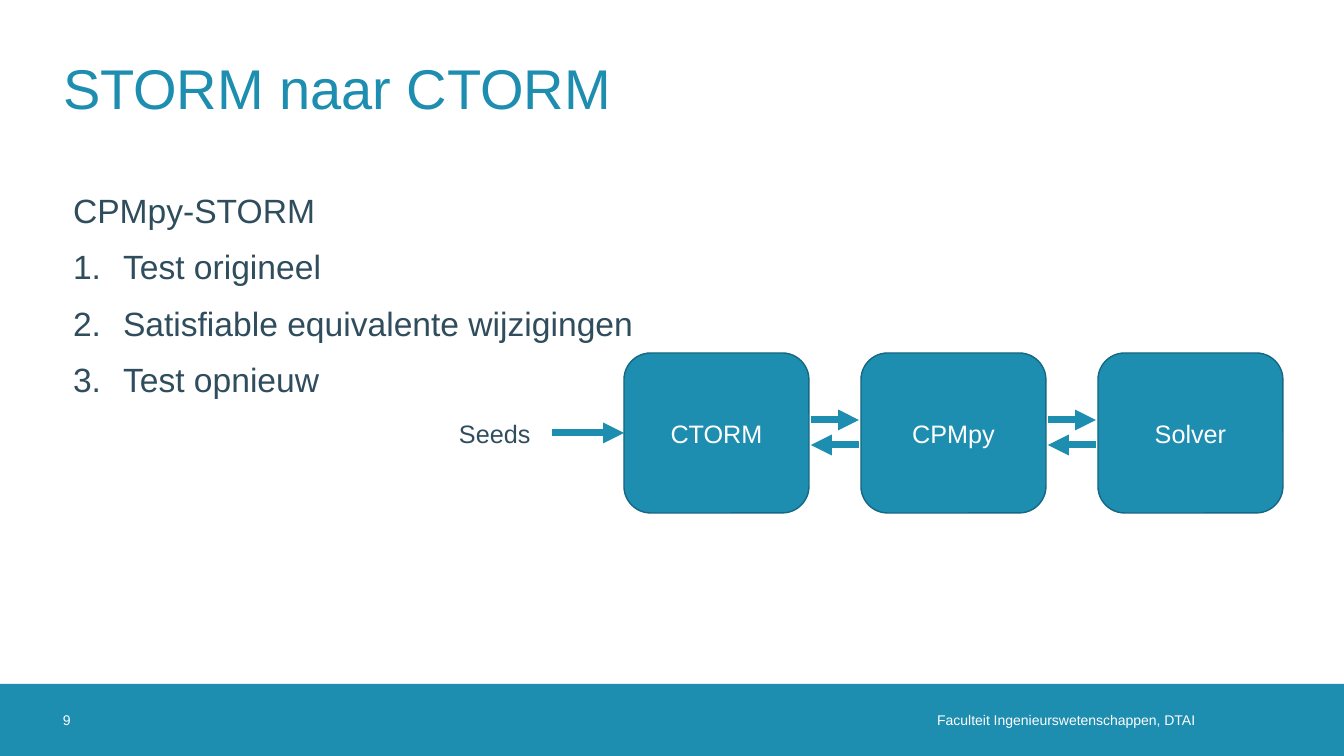
import dataclasses

import lxml.etree
import pptx
import pptx.dml.color
import pptx.enum.shapes
import pptx.enum.text
import pptx.oxml.ns
import pptx.util

EMU_PER_PX = 914400 / 100.8
FONT = "Arial"
TEAL = "1D8DB0"
DARK_TEAL = "156882"
SLATE = "2F4D5D"
WHITE = "FFFFFF"
ALIGN = pptx.enum.text.PP_ALIGN
ANCHOR = pptx.enum.text.MSO_ANCHOR
SHAPE = pptx.enum.shapes.MSO_SHAPE

BOX_LEFT, BOX_TOP, BOX_WIDTH, BOX_HEIGHT, BOX_STEP = 624, 353, 185, 160, 237
ARROW_GAP, ARROW_LENGTH = 2, 48
FORWARD_Y, BACK_Y = 420, 445


@dataclasses.dataclass(frozen=True)
class Area:
    left: int
    top: int
    width: int
    height: int

    def emu(self) -> tuple:
        return tuple(px(n) for n in dataclasses.astuple(self))


@dataclasses.dataclass(frozen=True)
class Label:
    text: str
    area: Area
    size: int
    color: str
    align: ALIGN = ALIGN.LEFT
    anchor: ANCHOR = ANCHOR.MIDDLE
    insets: tuple = (0, 0, 0, 0)


@dataclasses.dataclass(frozen=True)
class Arrow:
    start: int
    end: int
    y: int


FOOTER = Area(0, 684, 1344, 72)
LABELS = [
    Label("Faculteit Ingenieurswetenschappen, DTAI", Area(665, 684, 550, 72),
          10, WHITE, ALIGN.RIGHT, insets=(0, 0, 20, 0)),
    Label("9", Area(63, 684, 72, 72), 10, WHITE),
    Label("Seeds", Area(449, 413, 104, 40), 18, SLATE,
          anchor=ANCHOR.TOP, insets=(10, 5, 10, 5)),
]
STEPS = ["Test origineel", "Satisfiable equivalente wijzigingen", "Test opnieuw"]
TOOLS = ["CTORM", "CPMpy", "Solver"]


def px(n: int) -> int:
    return round(n * EMU_PER_PX)


def rgb(color: str) -> pptx.dml.color.RGBColor:
    return pptx.dml.color.RGBColor.from_string(color)


def add_run(p, text: str, size: int, color: str) -> None:
    r = p.add_run()
    r.text = text
    r.font.name = FONT
    r.font.size = pptx.util.Pt(size)
    r.font.color.rgb = rgb(color)


def set_frame(tf, anchor: ANCHOR, insets: tuple) -> None:
    tf.word_wrap = True
    tf.auto_size = pptx.enum.text.MSO_AUTO_SIZE.NONE
    tf.vertical_anchor = anchor
    tf.margin_left, tf.margin_top, tf.margin_right, tf.margin_bottom = map(px, insets)


def write_label(sp, label: Label) -> None:
    set_frame(sp.text_frame, label.anchor, label.insets)
    p = sp.text_frame.paragraphs[0]
    p.alignment = label.align
    add_run(p, label.text, label.size, label.color)


def place(sp, area: Area) -> None:
    sp.left, sp.top, sp.width, sp.height = area.emu()


def add_shape(s, kind: SHAPE, area: Area):
    sp = s.shapes.add_shape(kind, *area.emu())
    sp.shadow.inherit = False
    sp.fill.solid()
    sp.fill.fore_color.rgb = rgb(TEAL)
    sp.line.fill.background()
    return sp


def add_box(s, text: str, left: int) -> None:
    area = Area(left, BOX_TOP, BOX_WIDTH, BOX_HEIGHT)
    sp = add_shape(s, SHAPE.ROUNDED_RECTANGLE, area)
    sp.line.color.rgb = rgb(DARK_TEAL)
    sp.line.width = pptx.util.Pt(1)
    write_label(sp, Label(text, area, 18, WHITE, ALIGN.CENTER, insets=(10, 5, 10, 5)))


def add_arrow(s, arrow: Arrow) -> None:
    line = s.shapes.add_connector(
        pptx.enum.shapes.MSO_CONNECTOR.STRAIGHT,
        px(arrow.start), px(arrow.y), px(arrow.end), px(arrow.y))
    line.line.color.rgb = rgb(TEAL)
    line.line.width = pptx.util.Pt(5)
    qn = pptx.oxml.ns.qn
    ln = line.line._get_or_add_ln()
    lxml.etree.SubElement(ln, qn("a:tailEnd"), type="triangle")
    lxml.etree.SubElement(line._element.spPr, qn("a:effectLst"))


def set_bullet(p, numbered: bool) -> None:
    qn = pptx.oxml.ns.qn
    pPr = p._p.get_or_add_pPr()
    indent = px(50) if numbered else 0
    pPr.set("marL", str(indent))
    pPr.set("indent", str(-indent))
    if numbered:
        lxml.etree.SubElement(pPr, qn("a:buFont"), typeface="+mj-lt")
        lxml.etree.SubElement(pPr, qn("a:buAutoNum"), type="arabicPeriod")
    else:
        lxml.etree.SubElement(pPr, qn("a:buNone"))


def fill_body(sp) -> None:
    place(sp, Area(63, 183, 1207, 492))
    tf = sp.text_frame
    set_frame(tf, ANCHOR.TOP, (10, 5, 10, 5))
    for i, text in enumerate(["CPMpy-STORM", *STEPS]):
        p = tf.add_paragraph() if i else tf.paragraphs[0]
        set_bullet(p, numbered=i > 0)
        p.space_before = pptx.util.Pt(10 if i else 0)
        p.line_spacing = 1.05
        add_run(p, text, 24, SLATE)


def main() -> None:
    prs = pptx.Presentation()
    prs.slide_width, prs.slide_height = px(1344), px(756)
    s = prs.slides.add_slide(prs.slide_layouts[1])

    title = Label("STORM naar CTORM", Area(63, 24, 1217, 127), 40, TEAL)
    place(s.shapes.title, title.area)
    write_label(s.shapes.title, title)
    fill_body(s.placeholders[1])

    add_shape(s, SHAPE.RECTANGLE, FOOTER)
    for label in LABELS:
        write_label(s.shapes.add_textbox(*label.area.emu()), label)

    add_arrow(s, Arrow(552, BOX_LEFT, 433))
    for i, tool in enumerate(TOOLS):
        left = BOX_LEFT + i * BOX_STEP
        add_box(s, tool, left)
        if i < len(TOOLS) - 1:
            start = left + BOX_WIDTH + ARROW_GAP
            end = start + ARROW_LENGTH
            add_arrow(s, Arrow(start, end, FORWARD_Y))
            add_arrow(s, Arrow(end, start, BACK_Y))

    prs.save("out.pptx")


if __name__ == "__main__":
    main()
